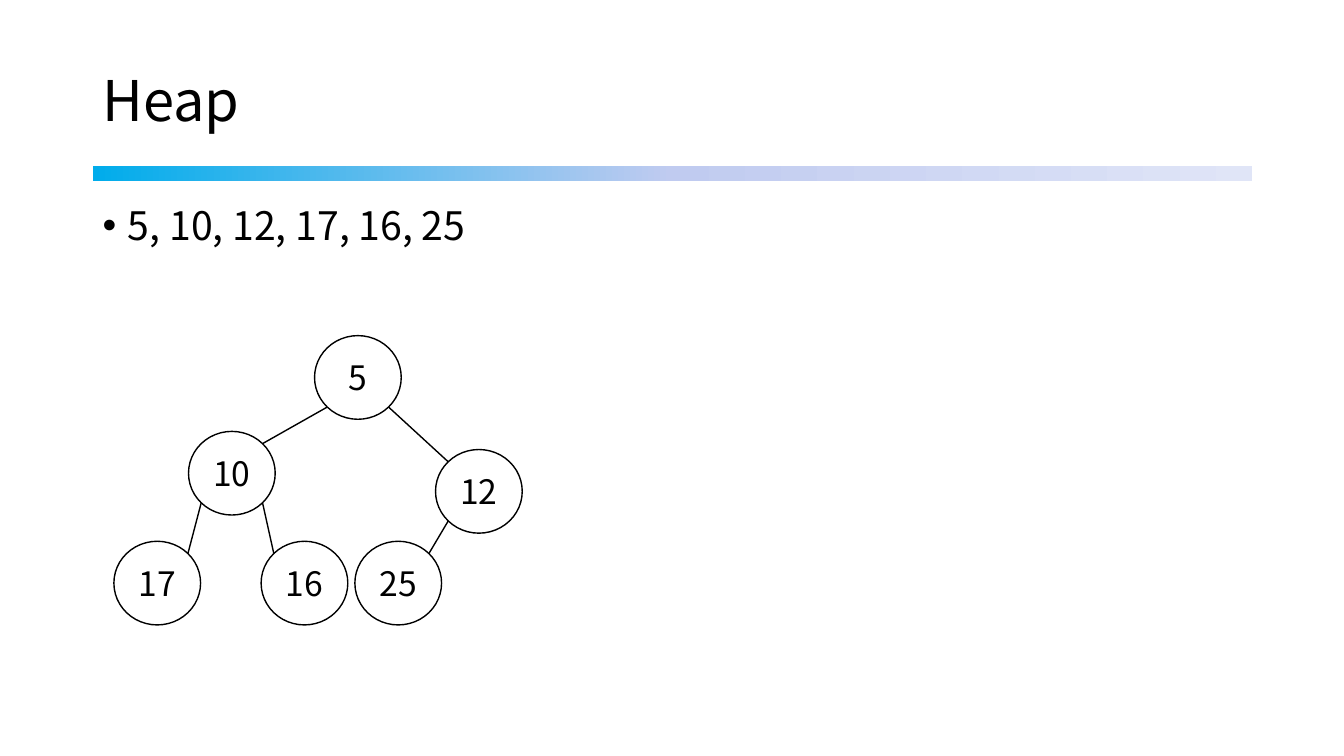
from dataclasses import dataclass

import pptx
import pptx.dml.color
import pptx.enum.shapes
import pptx.enum.text
import pptx.oxml.ns
import pptx.util
from lxml import etree

SLIDE_WIDTH = pptx.util.Inches(13.33)
SLIDE_HEIGHT = pptx.util.Inches(7.5)
CELL = pptx.util.Inches(0.1)  # side of one grid column or row
FONT = "Noto Sans CJK KR"
COLORS = {
    "ink": "000000",
    "bar_start": "00ACEB",
    "bar_middle": "C0CBF0",
    "bar_end": "E0E5F7",
}
MARGIN, CONTENT_WIDTH = 9.2, 115
NODE_WIDTH, NODE_HEIGHT = 8.6, 8.3
DIAGONAL = 0.5 ** 0.5  # share of the radius where edges meet a node

Align = pptx.enum.text.PP_ALIGN
Anchor = pptx.enum.text.MSO_ANCHOR
Preset = pptx.enum.shapes.MSO_SHAPE


@dataclass(frozen=True)
class Node:
    value: int
    column: float
    row: float

    def joint(self, side: int, end: int) -> tuple[int, int]:
        """Diagonal point on the rim; side -1 is left, end -1 is top."""
        return grid(
            self.column + NODE_WIDTH / 2 * (1 + side * DIAGONAL),
            self.row + NODE_HEIGHT / 2 * (1 + end * DIAGONAL),
        )


# Level order: the children of item i are items 2i + 1 and 2i + 2.
HEAP = [
    Node(5, 31.2, 33.3),
    Node(10, 18.7, 42.8),
    Node(12, 43.2, 44.6),
    Node(17, 11.3, 53.7),
    Node(16, 25.9, 53.7),
    Node(25, 35.2, 53.7),
]


def grid(*cells: float) -> tuple[int, ...]:
    return tuple(round(cell * CELL) for cell in cells)


def color(name: str) -> pptx.dml.color.RGBColor:
    return pptx.dml.color.RGBColor.from_string(COLORS[name])


def write(shape, text: str, *, size: float, align=Align.LEFT, anchor=Anchor.TOP,
          line_spacing: float = 1.0, space_before: float = 0,
          bullet: bool = False, inset: float = 1) -> None:
    frame = shape.text_frame
    frame.word_wrap = True
    frame.vertical_anchor = anchor
    frame.margin_left, frame.margin_right = grid(inset, inset)
    paragraph = frame.paragraphs[0]
    paragraph.alignment = align
    paragraph.line_spacing = line_spacing
    paragraph.space_before = pptx.util.Pt(space_before)
    run = paragraph.add_run()
    run.text = text
    run.font.size = pptx.util.Pt(size)
    run.font.name = FONT
    run.font.color.rgb = color("ink")
    if bullet:
        properties = paragraph._p.get_or_add_pPr()
        indent = grid(2.5)[0]
        properties.set("marL", str(indent))
        properties.set("indent", str(-indent))
        etree.SubElement(properties, pptx.oxml.ns.qn("a:buFont"), typeface="Arial")
        etree.SubElement(properties, pptx.oxml.ns.qn("a:buChar"), char="•")


def draw_bar(shapes) -> None:
    bar = shapes.add_shape(Preset.RECTANGLE, *grid(MARGIN, 16.5, CONTENT_WIDTH, 1.5))
    bar.shadow.inherit = False
    bar.line.fill.background()
    bar.fill.gradient()
    bar.fill.gradient_angle = 0
    stops = bar._element.spPr.find(".//" + pptx.oxml.ns.qn("a:gsLst"))
    for stop in list(stops):
        stops.remove(stop)
    for percent, name in ((0, "bar_start"), (50, "bar_middle"), (100, "bar_end")):
        stop = etree.SubElement(stops, pptx.oxml.ns.qn("a:gs"), pos=str(percent * 1000))
        etree.SubElement(stop, pptx.oxml.ns.qn("a:srgbClr"), val=COLORS[name])


def draw_node(shapes, node: Node) -> None:
    circle = shapes.add_shape(
        Preset.OVAL, *grid(node.column, node.row, NODE_WIDTH, NODE_HEIGHT))
    circle.shadow.inherit = False
    circle.fill.background()
    circle.line.color.rgb = color("ink")
    circle.line.width = pptx.util.Pt(1)
    write(circle, str(node.value), size=24, align=Align.CENTER,
          anchor=Anchor.MIDDLE, inset=0)


def draw_edge(shapes, parent: Node, child: Node) -> None:
    side = 1 if child.column > parent.column else -1
    edge = shapes.add_connector(
        pptx.enum.shapes.MSO_CONNECTOR.STRAIGHT,
        *parent.joint(side, 1), *child.joint(-side, -1))
    edge.line.color.rgb = color("ink")
    edge.line.width = pptx.util.Pt(1)
    etree.SubElement(edge._element.spPr, pptx.oxml.ns.qn("a:effectLst"))


def main() -> None:
    deck = pptx.Presentation()
    deck.slide_width, deck.slide_height = SLIDE_WIDTH, SLIDE_HEIGHT
    shapes = deck.slides.add_slide(deck.slide_layouts[6]).shapes

    draw_bar(shapes)
    heading = shapes.add_textbox(*grid(MARGIN, 4, CONTENT_WIDTH, 12.5))
    write(heading, "Heap", size=40, anchor=Anchor.MIDDLE, line_spacing=0.9)
    sequence = shapes.add_textbox(*grid(MARGIN, 20, CONTENT_WIDTH, 47.6))
    write(sequence, ", ".join(str(node.value) for node in HEAP), size=28,
          line_spacing=0.9, space_before=10, bullet=True)

    for node in HEAP:
        draw_node(shapes, node)
    for index, child in enumerate(HEAP[1:], start=1):
        draw_edge(shapes, HEAP[(index - 1) // 2], child)

    deck.save("out.pptx")


if __name__ == "__main__":
    main()
